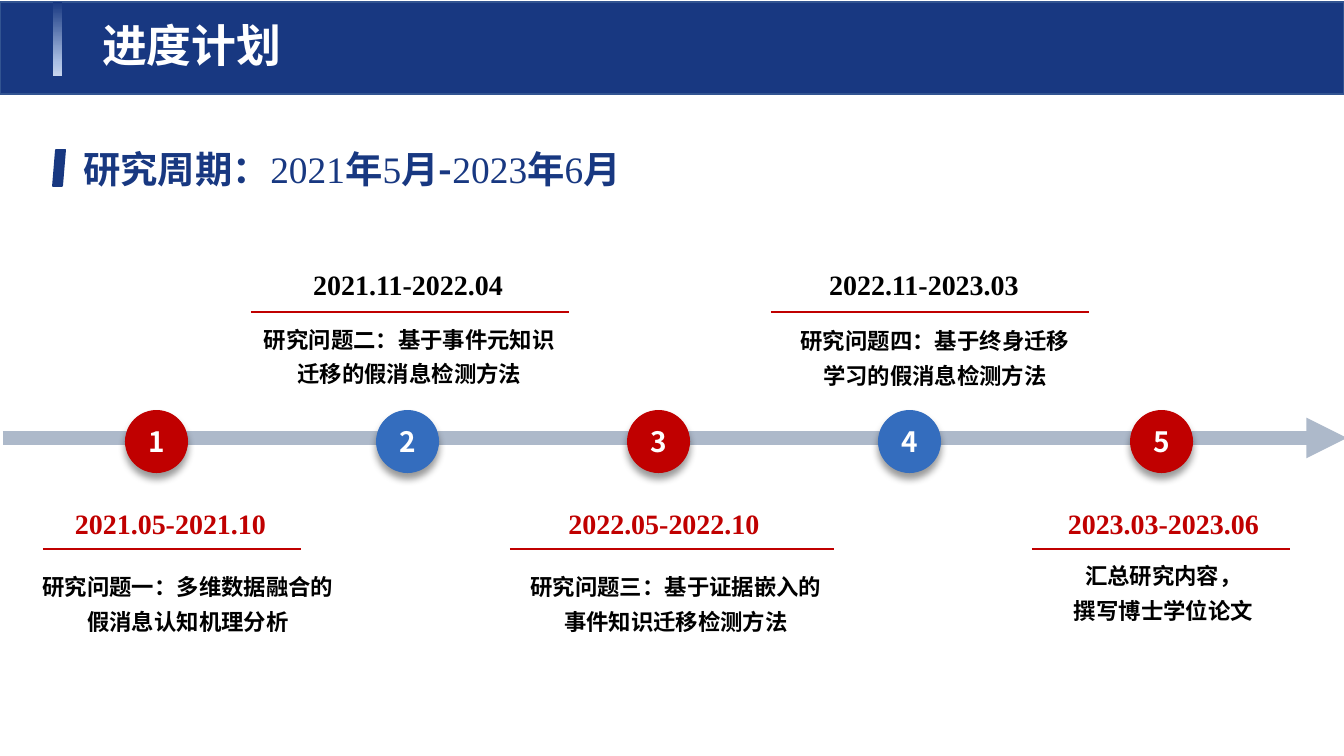
from copy import deepcopy
from lxml.etree import SubElement
from pptx import Presentation
from pptx.dml.color import RGBColor
from pptx.enum.shapes import MSO_CONNECTOR, MSO_SHAPE
from pptx.enum.text import MSO_ANCHOR, MSO_AUTO_SIZE, PP_ALIGN
from pptx.oxml.ns import qn
from pptx.util import Pt

SCALE = 914400 / 134.4
SANS, SERIF = "Noto Sans CJK SC", "Times New Roman"
NAVY, RED, BLUE, WHITE, BLACK = "183881", "C00000", "346DBE", "FFFFFF", "000000"
LEFT, MID = PP_ALIGN.LEFT, PP_ALIGN.CENTER


def px(*vals):
    return [round(v * SCALE) for v in vals]


def rgb(code):
    return RGBColor.from_string(code)


class Deck:
    def __init__(self, wide, high):
        self.prs = Presentation()
        self.prs.slide_width, self.prs.slide_height = px(wide, high)
        self.slide = self.prs.slides.add_slide(self.prs.slide_layouts[6])

    def shape(self, kind, box, fill, line=None):
        item = self.slide.shapes.add_shape(kind, *px(*box))
        item.shadow.inherit = False
        item.fill.solid()
        item.fill.fore_color.rgb = rgb(fill)
        if line:
            item.line.color.rgb = rgb(line)
            item.line.width = Pt(1)
        else:
            item.line.fill.background()
        return item

    def fade(self, box, stops):
        item = self.shape(MSO_SHAPE.RECTANGLE, box, NAVY)
        item.fill.gradient()
        item.fill.gradient_angle = 270
        group = item.element.spPr.find(qn("a:gradFill")).find(qn("a:gsLst"))
        while len(group) < len(stops):
            group.append(deepcopy(group[-1]))
        for stop, (place, color) in zip(item.fill.gradient_stops, stops):
            stop.position = place
            stop.color.rgb = rgb(color)

    def line(self, x, y, wide, color, width, arrow=False):
        item = self.slide.shapes.add_connector(
            MSO_CONNECTOR.STRAIGHT, *px(x, y, x + wide, y))
        item.line.color.rgb = rgb(color)
        item.line.width = Pt(width)
        props = item.element.spPr
        if arrow:
            SubElement(props.find(qn("a:ln")), qn("a:tailEnd"), type="triangle")
        SubElement(props, qn("a:effectLst"))

    def words(self, frame, paras, size, color, font=SANS, align=MID, space=None):
        """Each paragraph is a string or a list of (text, font, bold) runs."""
        for i, runs in enumerate(paras):
            para = frame.add_paragraph() if i else frame.paragraphs[0]
            para.alignment = align
            if space:
                para.line_spacing = space
            if isinstance(runs, str):
                runs = [(runs, font, True)]
            for text, face, bold in runs:
                run = para.add_run()
                run.text = text
                style = {"name": face, "size": Pt(size), "bold": bold}
                for key, val in style.items():
                    setattr(run.font, key, val)
                run.font.color.rgb = rgb(color)
                SubElement(run.font._element, qn("a:ea"), typeface=face)

    def text(self, box, paras, size, color, **style):
        frame = self.slide.shapes.add_textbox(*px(*box)).text_frame
        frame.word_wrap = True
        frame.auto_size = MSO_AUTO_SIZE.SHAPE_TO_FIT_TEXT
        self.words(frame, paras, size, color, **style)

    def badge(self, box, label, fill):
        item = self.shape(MSO_SHAPE.OVAL, box, fill)
        item.text_frame.vertical_anchor = MSO_ANCHOR.MIDDLE
        self.words(item.text_frame, [label], 15, WHITE)
        # Soft shadow straight below
        glow = SubElement(item.element.spPr.find(qn("a:effectLst")), qn("a:outerShdw"),
                          blurRad=str(Pt(4)), dist=str(Pt(3)), dir="5400000",
                          algn="t", rotWithShape="0")
        tint = SubElement(glow, qn("a:srgbClr"), val=BLACK)
        SubElement(tint, qn("a:alpha"), val="40000")


# Date, its left, width and alignment; rule left and width; note box and lines
STEPS = [
    ("2021.05-2021.10", 50, 241, MID, 43, 258, (24, 559, 328, 82),
     ["研究问题一：多维数据融合的假消息认知机理分析"]),
    ("2021.11-2022.04", 300, 228, LEFT, 251, 318, (247, 311, 325, 82),
     ["研究问题二：基于事件元知识迁移的假消息检测方法"]),
    ("2022.05-2022.10", 550, 228, MID, 510, 324, (512, 559, 328, 82),
     ["研究问题三：基于证据嵌入的事件知识迁移检测方法"]),
    ("2022.11-2023.03", 814, 220, MID, 771, 318, (771, 313, 328, 82),
     ["研究问题四：基于终身迁移", "学习的假消息检测方法"]),
    ("2023.03-2023.06", 1052, 223, MID, 1032, 258, (1025, 548, 277, 82),
     ["汇总研究内容，", "撰写博士学位论文"]),
]


def main():
    deck = Deck(1344, 756)

    # Title band
    deck.shape(MSO_SHAPE.RECTANGLE, (0, 2, 1344, 92), NAVY, "325491")
    deck.fade((53, 2, 9, 74),
              [(0, NAVY), (0.82, "ABC0E4"), (0.83, "ABC0E4"), (1, "C7D5ED")])
    deck.text((89, 11, 781, 67), ["进度计划"], 24, WHITE, align=LEFT)

    # Research period
    deck.shape(MSO_SHAPE.PARALLELOGRAM, (53, 150, 12, 36), NAVY, NAVY)
    parts = ["研究周期：", "2021", "年", "5", "月-", "2023", "年", "6", "月"]
    runs = [(part, SERIF, False) if part.isdigit() else (part, SANS, True)
            for part in parts]
    deck.text((70, 140, 602, 59), [runs], 20, NAVY, align=LEFT)

    # Timeline, with even steps above the axis and odd ones below
    deck.line(3, 438, 1344, "ADB9CA", 7.25, arrow=True)
    for i, (date, x, wide, align, left, span, box, note) in enumerate(STEPS):
        above = i % 2 == 1
        top, rule = (261, 312) if above else (500, 549)
        deck.badge((125 + 1005 * i // 4, 410, 63, 63), str(i + 1),
                   BLUE if above else RED)
        deck.text((x, top, wide, 47), [date], 15, BLACK if above else RED,
                  font=SERIF, align=align)
        deck.line(left, rule, span, RED, 1.5)
        deck.text(box, note, 12, BLACK, space=1.3)

    deck.prs.save("out.pptx")


if __name__ == "__main__":
    main()
